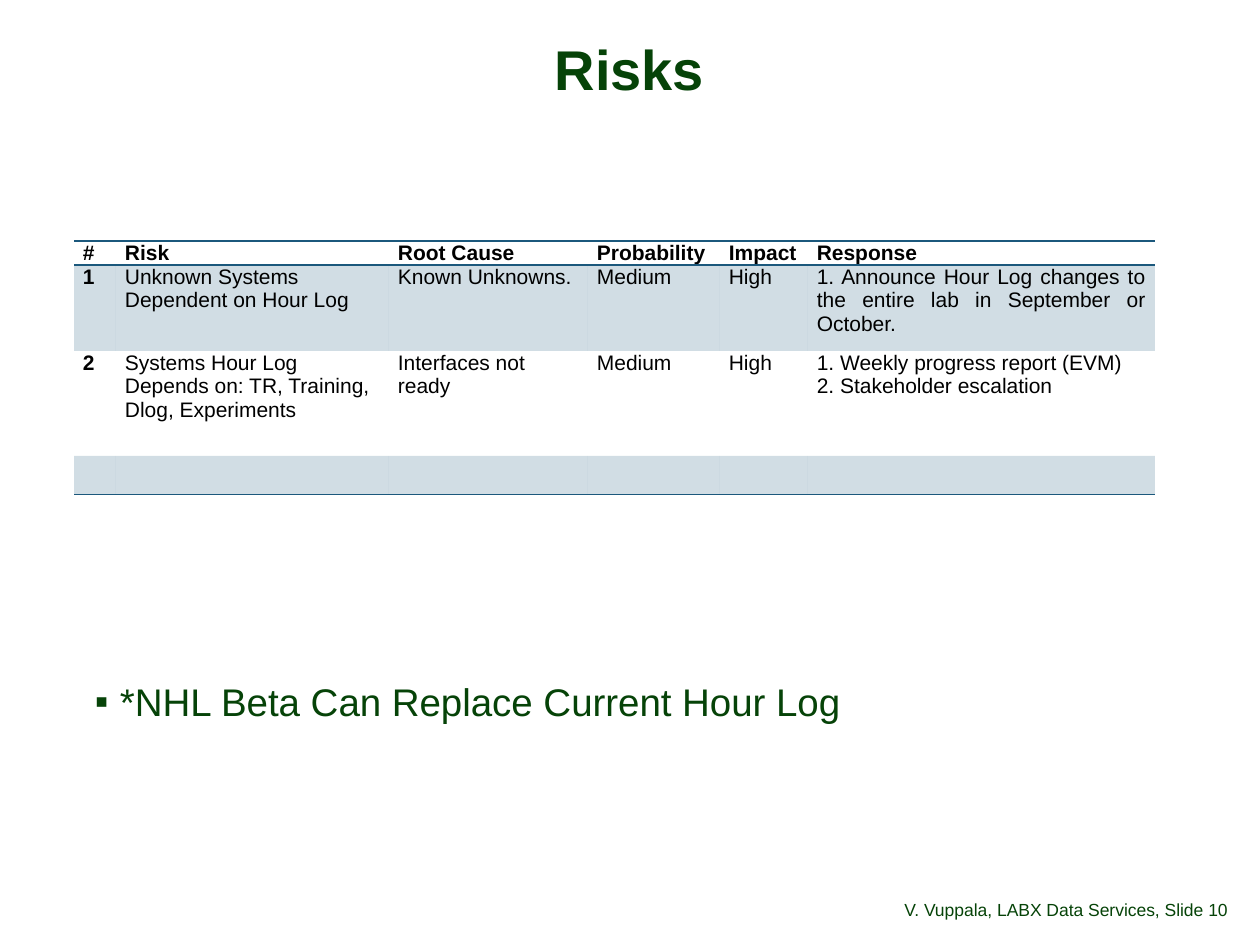
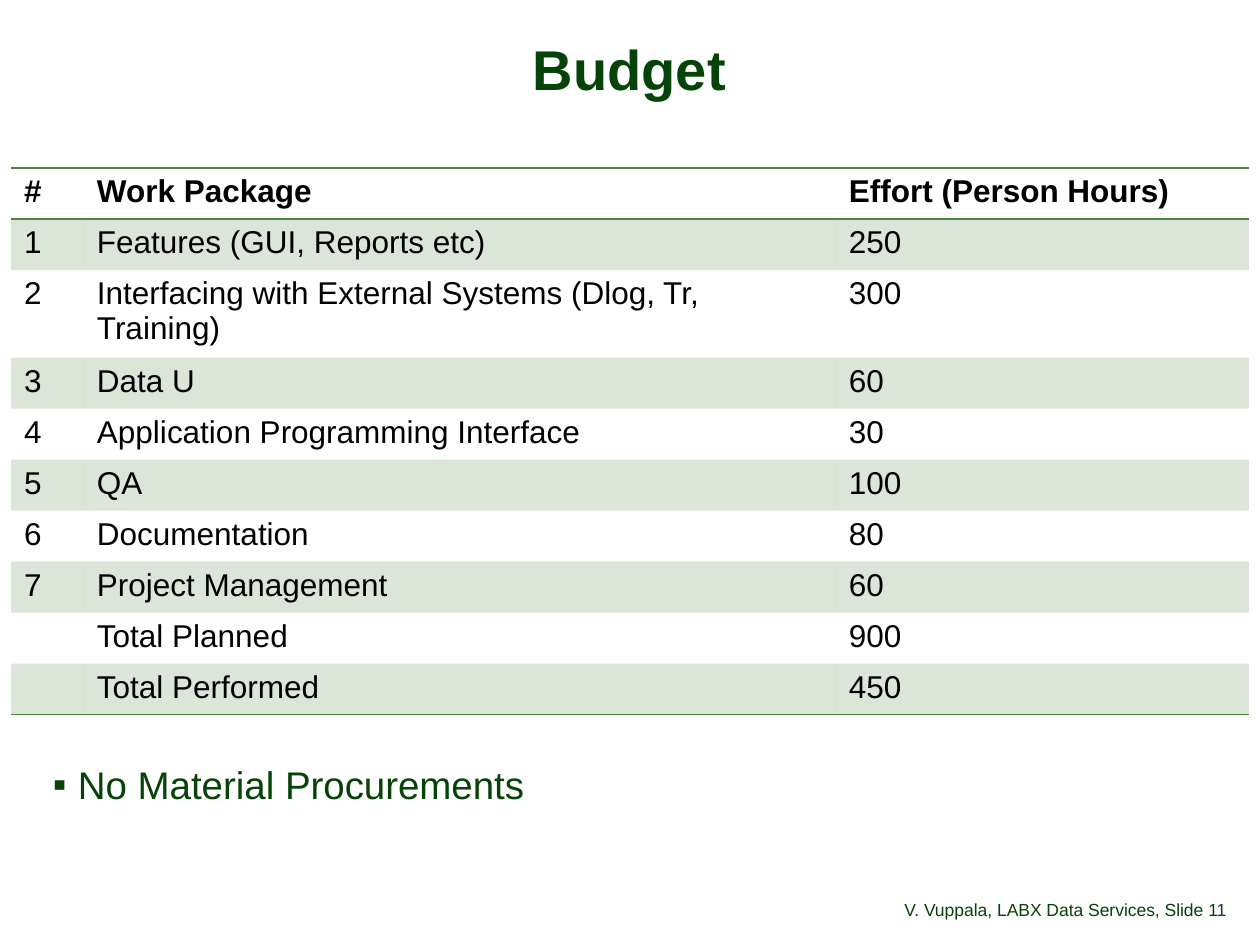
from dataclasses import dataclass

from lxml.etree import SubElement
from pptx import Presentation
from pptx.dml.color import RGBColor
from pptx.enum.text import MSO_ANCHOR as Anchor, PP_ALIGN as Align
from pptx.oxml.ns import qn
from pptx.slide import Slide
from pptx.table import _Cell as Cell
from pptx.text.text import TextFrame
from pptx.util import Emu, Pt

PIXEL = 914400 // 126
FONT = "Arial"
GREEN = RGBColor(0x06, 0x43, 0x08)
BLACK = RGBColor(0, 0, 0)
RISK_BLUE = RGBColor(0x1B, 0x58, 0x7C)
BUDGET_GREEN = RGBColor(0x4E, 0x85, 0x42)
PLAIN_TABLE_STYLE = "{2D5ABB26-0587-4C30-8999-92F81FD0307C}"
BAND_OPACITY = 20
BULLET_INDENT = 25
FOOTER_NAME = "V. Vuppala, LABX Data Services"


@dataclass(frozen=True)
class Box:
    """A rectangle in pixels."""
    left: int
    top: int
    width: int
    height: int

    def emu(self) -> tuple[Emu, ...]:
        """Return the rectangle in EMU."""
        return tuple(px(n) for n in (self.left, self.top, self.width, self.height))


@dataclass(frozen=True)
class TableStyle:
    """The look of one banded table."""
    accent: RGBColor
    size: int
    margin_x: int
    margin_y: int
    space_after: int = 0
    bold_first_column: bool = False
    justify_last_column: bool = False


@dataclass(frozen=True)
class TablePage:
    """A titled slide with one table and one bullet."""
    title: str
    number: int
    left: int
    top: int
    columns: list[int]
    row_heights: list[int]
    rows: list[list[str]]
    style: TableStyle
    bullet: str
    bullet_box: Box


TITLE_BOX = Box(10, 39, 1239, 67)
FOOTER_BOX = Box(571, 876, 584, 50)
NUMBER_BOX = Box(1155, 876, 105, 50)


def px(pixels: int) -> Emu:
    """Turn pixels into EMU."""
    return Emu(pixels * PIXEL)


def format_text(frame: TextFrame, size: int, color: RGBColor, bold: bool = False) -> None:
    """Set the font of every run in a text frame."""
    for paragraph in frame.paragraphs:
        for run in paragraph.runs:
            run.font.name = FONT
            run.font.size = Pt(size)
            run.font.bold = bold
            run.font.color.rgb = color


def add_text(slide: Slide, box: Box, text: str, size: int, *,
             align: Align = Align.LEFT, anchor: Anchor = Anchor.TOP,
             spacing: float = 0.9, margin_x: int = 0, margin_y: int = 0,
             bold: bool = False) -> TextFrame:
    """Add a green one-paragraph text box."""
    frame = slide.shapes.add_textbox(*box.emu()).text_frame
    frame.word_wrap = True
    frame.vertical_anchor = anchor
    frame.margin_left = frame.margin_right = px(margin_x)
    frame.margin_top = frame.margin_bottom = px(margin_y)
    frame.text = text
    paragraph = frame.paragraphs[0]
    paragraph.alignment = align
    paragraph.line_spacing = spacing
    format_text(frame, size, GREEN, bold)
    return frame


def add_bullet(slide: Slide, box: Box, text: str) -> None:
    """Add a text box with a small square bullet."""
    paragraph = add_text(slide, box, text, 22).paragraphs[0]
    paragraph.space_before = Pt(12)
    properties = paragraph._p.get_or_add_pPr()
    properties.set("marL", str(px(BULLET_INDENT)))
    properties.set("indent", str(-px(BULLET_INDENT)))
    SubElement(properties, qn("a:buFont"), typeface=FONT)
    SubElement(properties, qn("a:buChar"), char="▪")


def add_border(cell: Cell, side: str, color: RGBColor) -> None:
    """Draw a one-point border on one side of a cell."""
    line = SubElement(cell._tc.get_or_add_tcPr(), qn(f"a:{side}"), w=str(Pt(1)))
    fill = SubElement(line, qn("a:solidFill"))
    SubElement(fill, qn("a:srgbClr"), val=str(color))


def fill_band(cell: Cell, color: RGBColor) -> None:
    """Fill a cell with a translucent accent colour."""
    cell.fill.solid()
    cell.fill.fore_color.rgb = color
    fill = cell._tc.get_or_add_tcPr().find(qn("a:solidFill"))
    SubElement(fill[0], qn("a:alpha"), val=str(BAND_OPACITY * 1000))


def write_cell(cell: Cell, text: str, style: TableStyle, bold: bool, justify: bool) -> None:
    """Set the margins and text of a cell."""
    cell.margin_left = cell.margin_right = px(style.margin_x)
    cell.margin_top = cell.margin_bottom = px(style.margin_y)
    if not text:
        return
    cell.text_frame.text = text
    for paragraph in cell.text_frame.paragraphs:
        if justify:
            paragraph.alignment = Align.JUSTIFY
        else:
            paragraph.space_after = Pt(style.space_after)
    format_text(cell.text_frame, style.size, BLACK, bold)


def add_banded_table(slide: Slide, page: TablePage) -> None:
    """Add a table with ruled header, tinted odd rows and a closing rule."""
    style = page.style
    box = Box(page.left, page.top, sum(page.columns), sum(page.row_heights))
    shape = slide.shapes.add_table(len(page.rows), len(page.columns), *box.emu())
    next(shape.element.iter(qn("a:tableStyleId"))).text = PLAIN_TABLE_STYLE
    table = shape.table
    for column, width in zip(table.columns, page.columns):
        column.width = px(width)
    last_row, last_column = len(page.rows) - 1, len(page.columns) - 1
    for row, (texts, height) in enumerate(zip(page.rows, page.row_heights)):
        table.rows[row].height = px(height)
        for column, text in enumerate(texts):
            cell = table.cell(row, column)
            bold = row == 0 or (style.bold_first_column and column == 0)
            justify = style.justify_last_column and row > 0 and column == last_column
            write_cell(cell, text, style, bold, justify)
            if row == 0:
                add_border(cell, "lnT", style.accent)
            if row in (0, last_row):
                add_border(cell, "lnB", style.accent)
            if row % 2:
                fill_band(cell, style.accent)
            else:
                cell.fill.background()


def add_page(presentation: Presentation, page: TablePage) -> None:
    """Add one slide with table, title, footer and bullet."""
    slide = presentation.slides.add_slide(presentation.slide_layouts[6])
    add_banded_table(slide, page)
    add_text(slide, TITLE_BOX, page.title, 32, align=Align.CENTER, anchor=Anchor.MIDDLE,
             spacing=0.88, margin_x=8, margin_y=3, bold=True)
    add_text(slide, FOOTER_BOX, FOOTER_NAME, 10, align=Align.RIGHT,
             anchor=Anchor.BOTTOM, margin_y=6)
    add_text(slide, NUMBER_BOX, f", Slide {page.number}", 10,
             anchor=Anchor.BOTTOM, margin_y=6)
    add_bullet(slide, page.bullet_box, page.bullet)


RISKS = TablePage(
    title="Risks", number=10, left=74, top=241,
    columns=[42, 273, 199, 132, 88, 347],
    row_heights=[24, 86, 105, 35],
    rows=[
        ["#", "Risk", "Root Cause", "Probability", "Impact", "Response"],
        ["1", "Unknown Systems Dependent on Hour Log", "Known Unknowns.", "Medium", "High",
         "1. Announce Hour Log changes to the entire lab in September or October."],
        ["2", "Systems Hour Log Depends on: TR, Training, Dlog, Experiments",
         "Interfaces not ready", "Medium", "High",
         "1. Weekly progress report (EVM)\n2. Stakeholder escalation"],
        [""] * 6,
    ],
    style=TableStyle(RISK_BLUE, size=12, margin_x=9, margin_y=0, space_after=6,
                     bold_first_column=True, justify_last_column=True),
    bullet="*NHL Beta Can Replace Current Hour Log",
    bullet_box=Box(95, 683, 914, 44),
)

BUDGET = TablePage(
    title="Budget", number=11, left=11, top=168,
    columns=[73, 752, 413],
    row_heights=[51, 51, 84] + [51] * 7,
    rows=[
        ["#", "Work Package", "Effort (Person Hours)"],
        ["1", "Features (GUI, Reports etc)", "250"],
        ["2", "Interfacing with External Systems (Dlog, Tr, Training)", "300"],
        ["3", "Data U", "60"],
        ["4", "Application Programming Interface", "30"],
        ["5", "QA", "100"],
        ["6", "Documentation", "80"],
        ["7", "Project Management", "60"],
        ["", "Total Planned", "900"],
        ["", "Total Performed", "450"],
    ],
    style=TableStyle(BUDGET_GREEN, size=18, margin_x=13, margin_y=6),
    bullet="No Material Procurements",
    bullet_box=Box(53, 766, 1155, 73),
)


def main() -> None:
    """Build and save the presentation."""
    presentation = Presentation()
    presentation.slide_width = px(1260)
    presentation.slide_height = px(945)
    for page in (RISKS, BUDGET):
        add_page(presentation, page)
    presentation.save("out.pptx")


main()
